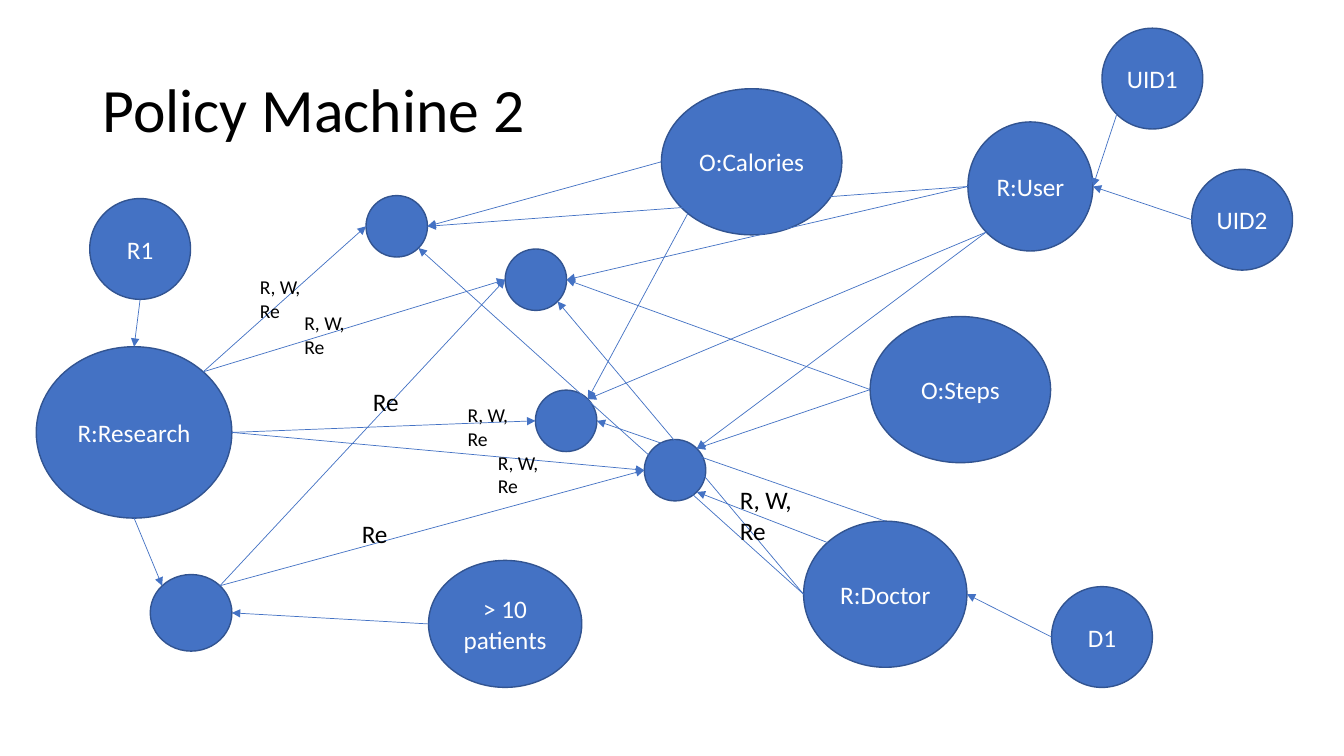
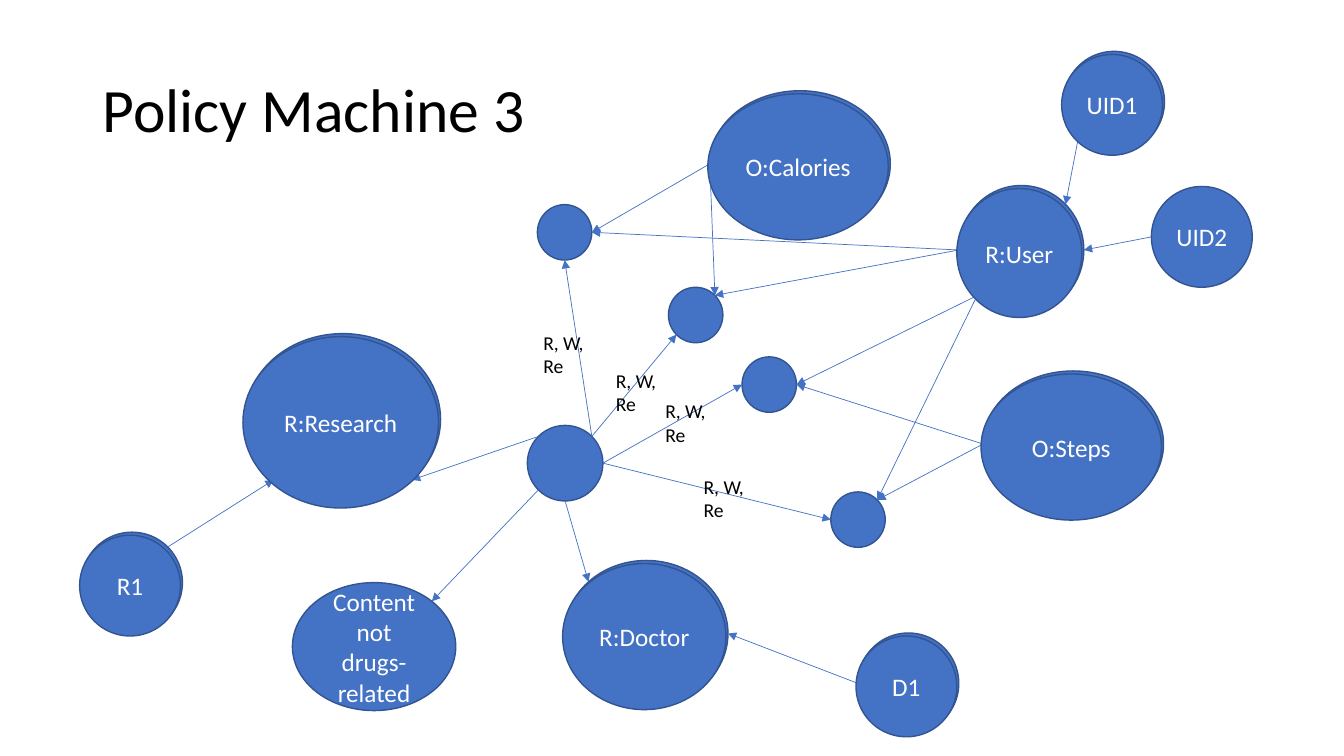
from dataclasses import dataclass
from math import sqrt

from pptx import Presentation
from pptx.dml.color import RGBColor
from pptx.enum.shapes import MSO_CONNECTOR, MSO_SHAPE
from pptx.enum.text import MSO_ANCHOR, PP_ALIGN
from pptx.oxml.ns import qn
from pptx.util import Inches, Pt
from lxml.etree import SubElement


@dataclass(frozen=True)
class Theme:
    """Colours, type sizes and line widths of the deck."""
    font: str = "Calibri"
    node: RGBColor = RGBColor(0x44, 0x72, 0xC4)
    outline: RGBColor = RGBColor(0x32, 0x54, 0x91)
    light: RGBColor = RGBColor(0xFF, 0xFF, 0xFF)
    dark: RGBColor = RGBColor(0x00, 0x00, 0x00)
    title: int = 44
    body: int = 18
    small: int = 14
    border: float = 1
    arrow: float = 0.5


@dataclass(frozen=True)
class Box:
    """A rectangle in inches."""
    x: float
    y: float
    w: float
    h: float

    def within(self, area):
        """Return this box shifted to the origin of an area."""
        return Box(area.x + self.x, area.y + self.y, self.w, self.h)

    def inches(self):
        """Return left, top, width and height as lengths."""
        return [Inches(v) for v in (self.x, self.y, self.w, self.h)]

    def site(self, name):
        """Return the point of the inscribed ellipse at a compass site."""
        dx, dy = SITES[name]
        return (Inches(self.x + self.w * (1 + dx) / 2),
                Inches(self.y + self.h * (1 + dy) / 2))


THEME = Theme()
PAGE = Box(0, 0, 13.33, 7.5)
TITLE = Box(0.92, 0.39, 11.5, 1.45)
DIAGONAL = 1 / sqrt(2)
SITES = {
    "N": (0, -1), "S": (0, 1), "W": (-1, 0), "E": (1, 0),
    "NW": (-DIAGONAL, -DIAGONAL), "NE": (DIAGONAL, -DIAGONAL),
    "SW": (-DIAGONAL, DIAGONAL), "SE": (DIAGONAL, DIAGONAL),
}
ROLES = {
    "research": ("R:Research", 1.94, 1.7),
    "doctor": ("R:Doctor", 1.62, 1.45),
    "calories": ("O:Calories", 1.79, 1.45),
    "steps": ("O:Steps", 1.79, 1.45),
    "user": ("R:User", 1.24, 1.28),
    "uid2": ("UID2", 1, 1),
    "uid1": ("UID1", 1, 1),
    "r1": ("R1", 1, 1),
    "d1": ("D1", 1, 1),
}
GRANT = "R, W, Re"
GRANT_SIZE = (0.64, 0.57)
REPORT_SIZE = (0.63, 0.41)
FRONT_SHIFT = (-0.02, 0.03)

MACHINE_2 = {
    "title": "Policy Machine 2",
    "roles": {
        "research": (0.36, 3.44), "doctor": (7.97, 5.17),
        "calories": (6.56, 0.88), "steps": (8.63, 3.14),
        "user": (9.6, 1.21), "uid2": (11.82, 1.68), "uid1": (10.93, 0.28),
        "r1": (0.89, 1.97), "d1": (10.43, 5.82),
    },
    "junctions": {
        "a": Box(3.63, 1.94, 0.61, 0.61), "b": Box(5.01, 2.47, 0.61, 0.61),
        "c": Box(5.31, 3.87, 0.61, 0.61), "d": Box(6.39, 4.36, 0.61, 0.61),
        "gate": Box(1.49, 5.7, 0.81, 0.76),
    },
    "condition": ("> 10 patients", Box(4.25, 5.56, 1.52, 1.26)),
    "arrows": [
        "uid1 SW user E", "uid2 W user E",
        "user W a E", "user W b E", "user SW c NE", "user SW d NE",
        "calories W a E", "calories SW c NE", "steps W b E", "steps W d NE",
        "r1 S research N", "d1 W doctor E", "gate NE b W", "gate NE d W",
        "condition W gate E", "research S gate NW",
        "research NE a W", "research NE b W", "research E c W",
        "research E d W", "doctor NW d SE", "doctor N c E",
        "doctor W b SE", "doctor W a SE",
    ],
    "labels": [
        ("Re", THEME.body, Box(3.6, 3.78, *REPORT_SIZE)),
        ("Re", THEME.body, Box(3.49, 5.09, *REPORT_SIZE)),
        (GRANT, THEME.small, Box(2.48, 2.68, *GRANT_SIZE)),
        (GRANT, THEME.small, Box(2.92, 3.04, *GRANT_SIZE)),
        (GRANT, THEME.small, Box(4.54, 3.95, *GRANT_SIZE)),
        (GRANT, THEME.small, Box(4.84, 4.42, *GRANT_SIZE)),
        (GRANT, THEME.body, Box(7.24, 4.76, 0.73, 0.71)),
    ],
    "front": [],
}

MACHINE_3 = {
    "title": "Policy Machine 3",
    "roles": {
        "research": (2.43, 3.31), "doctor": (5.6, 5.56),
        "calories": (7.04, 0.9), "steps": (9.75, 3.68),
        "user": (9.51, 1.84), "uid2": (11.42, 1.85), "uid1": (10.55, 0.51),
        "r1": (0.81, 5.28), "d1": (8.51, 6.28),
    },
    "junctions": {
        "a": Box(5.33, 2.03, 0.54, 0.55), "b": Box(6.63, 2.85, 0.54, 0.55),
        "c": Box(7.36, 3.54, 0.54, 0.55), "d": Box(8.24, 4.88, 0.54, 0.55),
        "hub": Box(5.23, 4.22, 0.75, 0.75),
    },
    "condition": ("Content not drugs-related", Box(2.9, 5.78, 1.62, 1.27)),
    "arrows": [
        "r1 NE research SW", "uid1 SW user NE", "uid2 W user E",
        "user W a E", "user W b NE", "user SW c E", "user SW d NE",
        "calories W a E", "calories W b NE", "steps W c E", "steps W d NE",
        "hub NW research SE", "hub SW condition NE", "hub S doctor NW",
        "hub NE a S", "hub NE b SW", "hub E c W", "hub E d W",
        "d1 W doctor E",
    ],
    "labels": [
        (GRANT, THEME.small, Box(5.29, 3.23, *GRANT_SIZE)),
        (GRANT, THEME.small, Box(6.01, 3.61, *GRANT_SIZE)),
        (GRANT, THEME.small, Box(6.5, 3.91, *GRANT_SIZE)),
        (GRANT, THEME.small, Box(6.88, 4.66, *GRANT_SIZE)),
    ],
    "front": [name for name in ROLES if name != "uid2"],
}


def write(tf, text, size, color):
    """Fill a text frame with one styled paragraph and return it."""
    tf.word_wrap = True
    p = tf.paragraphs[0]
    p.text = text
    p.font.name = THEME.font
    p.font.size = Pt(size)
    p.font.color.rgb = color
    return p


def add_text(slide, box, text, size):
    """Add a wrapped text box and return its text frame."""
    tf = slide.shapes.add_textbox(*box.inches()).text_frame
    write(tf, text, size, THEME.dark)
    return tf


def add_title(slide, box, text):
    """Add the slide title, centred vertically in its box."""
    tf = add_text(slide, box, text, THEME.title)
    tf.vertical_anchor = MSO_ANCHOR.MIDDLE
    tf.paragraphs[0].line_spacing = 0.9


def add_node(slide, box, text=""):
    """Add an ellipse node with an optional caption."""
    sp = slide.shapes.add_shape(MSO_SHAPE.OVAL, *box.inches())
    sp.shadow.inherit = False
    sp.fill.solid()
    sp.fill.fore_color.rgb = THEME.node
    sp.line.color.rgb = THEME.outline
    sp.line.width = Pt(THEME.border)
    if text:
        tf = sp.text_frame
        tf.vertical_anchor = MSO_ANCHOR.MIDDLE
        write(tf, text, THEME.body, THEME.light).alignment = PP_ALIGN.CENTER


def add_arrow(slide, start, end):
    """Add a thin straight arrow between two points."""
    cxn = slide.shapes.add_connector(MSO_CONNECTOR.STRAIGHT, *start, *end)
    cxn.line.color.rgb = THEME.node
    cxn.line.width = Pt(THEME.arrow)
    props = cxn.element.spPr
    SubElement(props.get_or_add_ln(), qn("a:tailEnd"), type="triangle")
    SubElement(props, qn("a:effectLst"))


def add_graph(slide, area, machine):
    """Draw the nodes, arrows and labels of a policy graph in an area."""
    condition, condition_box = machine["condition"]
    captions = {"condition": condition}
    boxes = {}
    for name, (x, y) in machine["roles"].items():
        captions[name], w, h = ROLES[name]
        boxes[name] = Box(x, y, w, h).within(area)
    for name, box in machine["junctions"].items():
        boxes[name] = box.within(area)
    boxes["condition"] = condition_box.within(area)

    for name, box in boxes.items():
        add_node(slide, box, captions.get(name, ""))
    for arrow in machine["arrows"]:
        source, leave, target, enter = arrow.split()
        add_arrow(slide, boxes[source].site(leave), boxes[target].site(enter))
    for text, size, box in machine["labels"]:
        add_text(slide, box.within(area), text, size)
    shift = Box(*FRONT_SHIFT, 0, 0)
    for name in machine["front"]:
        add_node(slide, boxes[name].within(shift), captions[name])


def add_machine_slide(prs, machine):
    """Add one slide with a title and a policy graph."""
    slide = prs.slides.add_slide(prs.slide_layouts[6])
    add_title(slide, TITLE, machine["title"])
    add_graph(slide, PAGE, machine)


def main():
    """Build and save the deck."""
    prs = Presentation()
    prs.slide_width, prs.slide_height = Inches(PAGE.w), Inches(PAGE.h)
    for machine in (MACHINE_2, MACHINE_3):
        add_machine_slide(prs, machine)
    prs.save("out.pptx")


if __name__ == "__main__":
    main()
